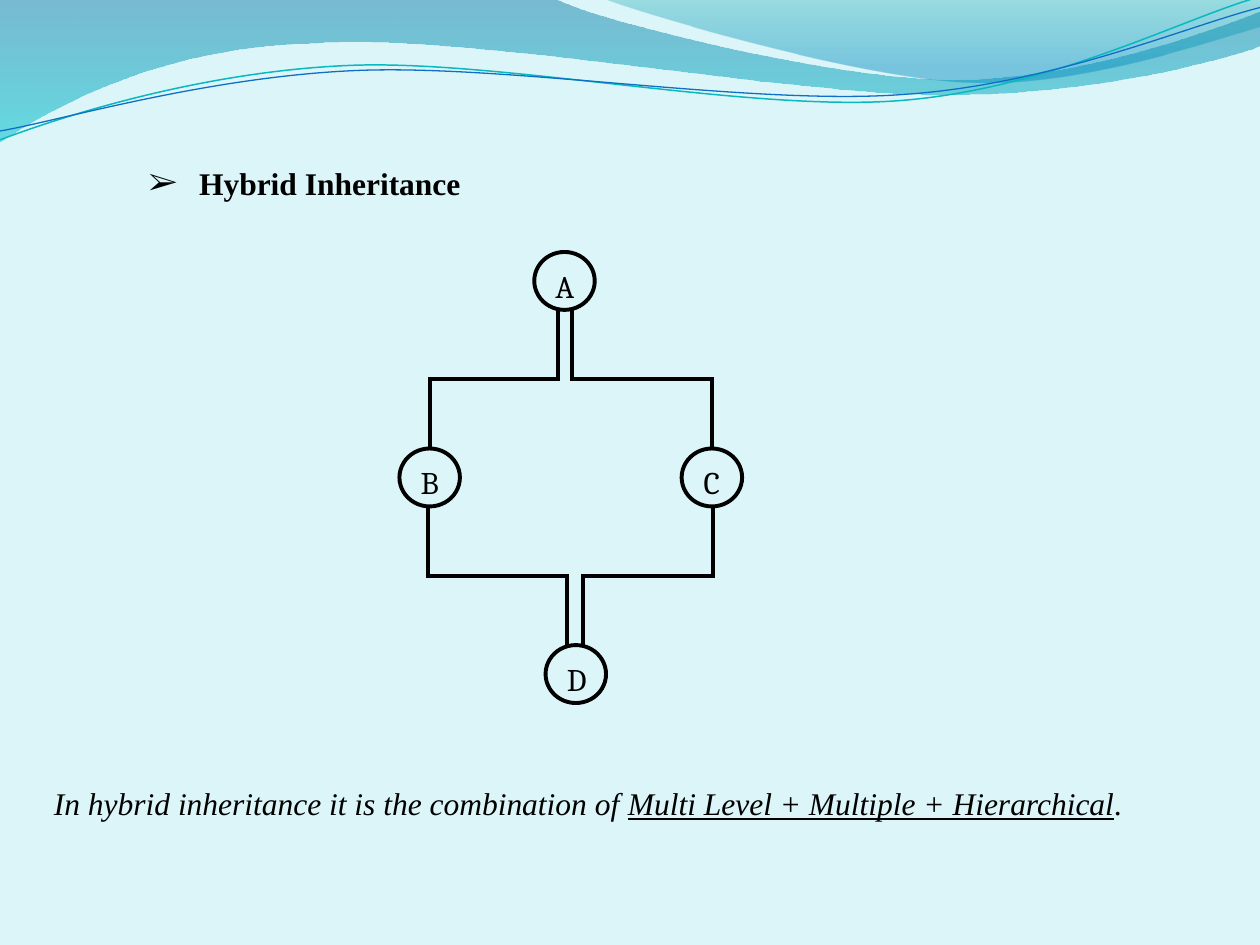
"""Builds a slide showing hybrid inheritance as a diamond of four classes."""
from pptx import Presentation
from pptx.dml.color import RGBColor
from pptx.enum.shapes import MSO_CONNECTOR, MSO_SHAPE
from pptx.enum.text import MSO_ANCHOR, MSO_AUTO_SIZE, PP_ALIGN
from pptx.oxml.ns import qn
from pptx.util import Inches, Pt
from lxml.etree import SubElement

BLACK = RGBColor(0x00, 0x00, 0x00)
PALE_AQUA = RGBColor(0xDB, 0xF5, 0xF9)
DEEP_BLUE = RGBColor(0x00, 0x74, 0xA1)
TURQUOISE = RGBColor(0x00, 0xC6, 0xCF)
TEAL = RGBColor(0x00, 0xA1, 0xA9)
SKY_BLUE = RGBColor(0x00, 0x8B, 0xBF)
LINE_TEAL = RGBColor(0x0A, 0xB8, 0xBF)
LINE_BLUE = RGBColor(0x0F, 0x6F, 0xC6)

SERIF = "Times New Roman"
HEADING = [("Hybrid Inheritance", {"bold": True})]
CAPTION = [
    ("In hybrid inheritance it is the combination of ", {"italic": True}),
    ("Multi Level + Multiple + Hierarchical", {"italic": True, "underline": True}),
    (".", {"italic": True}),
]

NODE_WIDTH, NODE_HEIGHT = 0.48, 0.46
NODES = {"A": (4.24, 2), "B": (3.17, 3.56), "C": (5.41, 3.56), "D": (4.33, 5.12)}
LINKS = [("A", 4.43, "B", 3.41), ("A", 4.54, "C", 5.65),
         ("C", 5.66, "D", 4.63), ("B", 3.4, "D", 4.5)]

BANDS = [
    ([(0, 0), (4.4, -0.01), (4.76, 0.17, 6.64, 0.63, 7.58, 0.63),
      (8.53, 0.63, 9.58, 0.26, 10, 0.09), (10.01, 0.36),
      (9.83, 0.44, 8.7, 0.76, 7.46, 0.75), (6.22, 0.75, 3.82, 0.28, 2.57, 0.34),
      (1.29, 0.36, 0.46, 0.83, -0.01, 1.13), (0, 0)],
     [(0, DEEP_BLUE, 45), (1, TURQUOISE, 55)]),
    ([(4.79, -0.01), (5.09, 0.11, 6.82, 0.62, 7.69, 0.65),
      (8.56, 0.69, 9.61, 0.32, 10, 0.21), (10, 0), (4.79, -0.01)],
     [(0, TEAL, 30), (0.8, SKY_BLUE, 45)]),
]
WAVES = [
    ([(0, 1.11), (0.48, 0.93, 1.58, 0.57, 2.77, 0.52),
      (3.95, 0.47, 5.93, 0.89, 7.13, 0.8), (8.33, 0.71, 9.38, 0.15, 9.98, -0.02)],
     LINE_TEAL, 0.85),
    ([(0, 1.04), (0.47, 0.96, 1.64, 0.61, 2.83, 0.56),
      (4.03, 0.51, 5.97, 0.84, 7.17, 0.75), (8.36, 0.67, 9.41, 0.21, 10, 0.06)],
     LINE_BLUE, 0.75),
]


def add_outline(page, segments, close):
    """Draw an outline whose six-number segments are cubic curves."""
    ends = [tuple(map(Inches, segment[-2:])) for segment in segments]
    builder = page.shapes.build_freeform(*ends[0])
    builder.add_line_segments(ends[1:], close=close)
    shape = builder.convert_to_shape()
    shape.shadow.inherit = False
    lines = list(shape._element.spPr.iter(qn("a:lnTo")))
    for line, segment in zip(lines, segments[1:]):
        if len(segment) == 6:
            outline = line.getparent()
            curve = SubElement(outline, qn("a:cubicBezTo"))
            for x, y in zip(segment[::2], segment[1::2]):
                SubElement(curve, qn("a:pt"), x=str(Inches(x) - shape.left),
                           y=str(Inches(y) - shape.top))
            outline.replace(line, curve)
    return shape


def add_band(page, segments, stops):
    shape = add_outline(page, segments, True)
    shape.line.fill.background()
    shape.fill.gradient()
    shape.fill.gradient_angle = 270
    for stop, (position, color, _) in zip(shape.fill.gradient_stops, stops):
        stop.position = position
        stop.color.rgb = color
    colors = shape._element.spPr.iter(qn("a:srgbClr"))
    for element, (_, _, opacity) in zip(colors, stops):
        SubElement(element, qn("a:alpha"), val=str(opacity * 1000))


def add_wave(page, segments, color, width):
    shape = add_outline(page, segments, False)
    shape.fill.background()
    shape.line.color.rgb = color
    shape.line.width = Pt(width)


def add_span(para, text, font=SERIF, bold=False, italic=False, underline=False):
    span = para.add_run()
    span.text = text
    span.font.name, span.font.size = font, Pt(18)
    span.font.bold, span.font.italic, span.font.underline = bold, italic, underline
    span.font.color.rgb = BLACK


def fill_line(box, spans):
    frame = box.text_frame
    frame.word_wrap = False
    frame.auto_size = MSO_AUTO_SIZE.SHAPE_TO_FIT_TEXT
    frame.vertical_anchor = MSO_ANCHOR.MIDDLE
    para = frame.paragraphs[0]
    para.alignment = PP_ALIGN.LEFT
    for text, style in spans:
        add_span(para, text, **style)
    return para


def add_heading(page):
    box = page.shapes.title
    box.left, box.top, box.width, box.height = map(Inches, (1.08, 1.25, 2.69, 0.4))
    properties = fill_line(box, HEADING)._p.get_or_add_pPr()
    properties.set("marL", str(Inches(0.4)))
    properties.set("indent", str(-Inches(0.4)))
    SubElement(properties, qn("a:buFont"), typeface=SERIF)
    SubElement(properties, qn("a:buChar"), char="➢")


def add_node(page, name, left, top):
    node = page.shapes.add_shape(
        MSO_SHAPE.OVAL, *map(Inches, (left, top, NODE_WIDTH, NODE_HEIGHT)))
    node.shadow.inherit = False
    node.fill.background()
    node.line.color.rgb = BLACK
    node.line.width = Pt(2.25)
    node.text_frame.vertical_anchor = MSO_ANCHOR.TOP
    para = node.text_frame.paragraphs[0]
    para.alignment = PP_ALIGN.CENTER
    add_span(para, name, font="Cambria")


def add_link(page, parent, start_x, child, end_x):
    start_y, end_y = NODES[parent][1] + NODE_HEIGHT, NODES[child][1]
    center_x, center_y = (start_x + end_x) / 2, (start_y + end_y) / 2
    half_width, half_height = (end_y - start_y) / 2, abs(end_x - start_x) / 2
    side = 1 if end_x > start_x else -1
    link = page.shapes.add_connector(MSO_CONNECTOR.ELBOW, *map(Inches, (
        center_x + side * half_width, center_y - half_height,
        center_x - side * half_width, center_y + half_height)))
    link.line.color.rgb = BLACK
    link.line.width = Pt(2.25)
    properties = link._element.spPr
    properties.find(qn("a:xfrm")).set("rot", str((180 + 90 * side) * 60000))
    SubElement(properties.find(qn("a:ln")), qn("a:miter"), lim="800000")
    SubElement(properties, qn("a:effectLst"))


def main():
    deck = Presentation()
    deck.slide_width, deck.slide_height = Inches(10), Inches(7.5)
    page = deck.slides.add_slide(deck.slide_layouts[5])
    page.background.fill.solid()
    page.background.fill.fore_color.rgb = PALE_AQUA
    for band in BANDS:
        add_band(page, *band)
    for wave in WAVES:
        add_wave(page, *wave)
    add_heading(page)
    for name, place in NODES.items():
        add_node(page, name, *place)
    for link in LINKS:
        add_link(page, *link)
    fill_line(page.shapes.add_textbox(*map(Inches, (0.33, 6.17, 8.7, 0.4))), CAPTION)
    deck.save("out.pptx")


if __name__ == "__main__":
    main()
